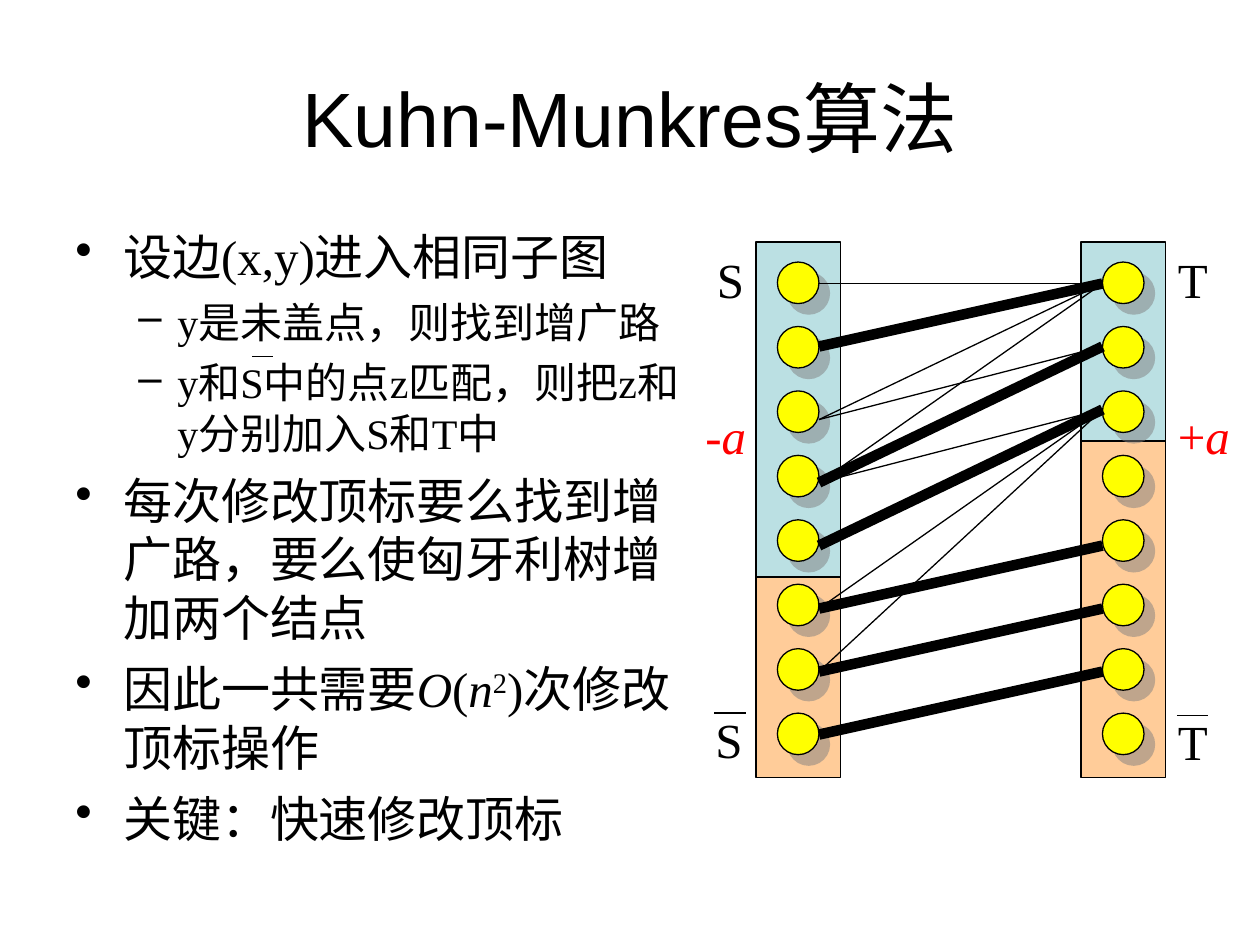
from dataclasses import dataclass

from lxml import etree
from pptx import Presentation
from pptx.dml.color import RGBColor
from pptx.enum import shapes, text
from pptx.oxml import ns
from pptx.util import Inches, Pt


@dataclass(frozen=True)
class Theme:
    ink: RGBColor = RGBColor(0, 0, 0)
    change: RGBColor = RGBColor(0xFF, 0, 0)
    inside: RGBColor = RGBColor(0xBB, 0xE0, 0xE3)
    outside: RGBColor = RGBColor(0xFF, 0xCC, 0x99)
    node: RGBColor = RGBColor(0xFF, 0xFF, 0)
    title_font: str = "Arial"
    body_font: str = "Times New Roman"
    title: Pt = Pt(44)
    body: Pt = Pt(28)
    detail: Pt = Pt(24)
    thin: Pt = Pt(0.75)
    thick: Pt = Pt(6)


THEME = Theme()

# Each bullet is a level and its spans; a span is a text and a style.
BULLETS = [
    (0, [("设边(x,y)进入相同子图", "")]),
    (1, [("y是未盖点，则找到增广路", "")]),
    (1, [("y和S中的点z匹配，则把z和y分别加入S和T中", "")]),
    (0, [("每次修改顶标要么找到增广路，要么使匈牙利树增加两个结点", "")]),
    (0, [("因此一共需要", ""), ("O", "italic"), ("(", ""), ("n", "italic"),
         ("2", "super"), (")次修改顶标操作", "")]),
    (0, [("关键：快速修改顶标", "")]),
]
# Bullet sign, left margin, hanging indent, type size and space before, by level.
LEVELS = [("•", 0.38, 0.38, THEME.body, 7), ("–", 0.81, 0.31, THEME.detail, 6)]

NODE_COUNT, NODE_SIZE = 8, 0.33
NODE_TOP, NODE_PITCH = 2.08, 3.58 / 7
LEFT_END, RIGHT_END = 6.5, 8.75
LEFT_ENDS = [2.25, 2.75, 3.33, 3.83, 4.33, 4.83, 5.33, 5.83]
RIGHT_ENDS = [2.25, 2.75, 3.25, 3.83, 4.33, 4.83, 5.33]
# Left and right node numbers of every edge.
EDGES = [(0, 0), (1, 0), (2, 0), (3, 0), (2, 1), (3, 1), (3, 2), (4, 2),
         (5, 2), (6, 2), (5, 4), (6, 5), (7, 6)]
MATCHING = {(1, 0), (3, 1), (4, 2), (5, 4), (6, 5), (7, 6)}


def set_font(para, name, size, color):
    para.font.name = name
    para.font.size = size
    para.font.color.rgb = color


def add_spans(para, spans):
    for words, style in spans:
        span = para.add_run()
        span.text = words
        if style == "italic":
            span.font.italic = True
        elif style == "super":
            span._r.get_or_add_rPr().set("baseline", "30000")


def add_title(page, words):
    title = page.shapes.title
    title.left, title.top = Inches(0.5), Inches(0.3)
    title.width, title.height = Inches(9), Inches(1.25)
    title.text_frame.text = words
    title.text_frame.auto_size = text.MSO_AUTO_SIZE.NONE
    title.text_frame.vertical_anchor = text.MSO_ANCHOR.MIDDLE
    para = title.text_frame.paragraphs[0]
    para.alignment = text.PP_ALIGN.CENTER
    set_font(para, THEME.title_font, THEME.title, THEME.ink)


def set_bullet(para, sign, margin, indent):
    props = para._p.get_or_add_pPr()
    props.set("marL", str(Inches(margin)))
    props.set("indent", str(-Inches(indent)))
    color = etree.SubElement(props, ns.qn("a:buClr"))
    etree.SubElement(color, ns.qn("a:srgbClr"), val=str(THEME.ink))
    etree.SubElement(props, ns.qn("a:buChar"), char=sign)


def add_bullets(page):
    box = page.shapes.add_textbox(Inches(0.5), Inches(1.75), Inches(5), Inches(5.25))
    frame = box.text_frame
    frame.word_wrap = True
    for number, (level, spans) in enumerate(BULLETS):
        para = frame.add_paragraph() if number else frame.paragraphs[0]
        sign, margin, indent, size, gap = LEVELS[level]
        para.level = level
        set_bullet(para, sign, margin, indent)
        para.space_before = Pt(gap if number else 0)
        set_font(para, THEME.body_font, size, THEME.ink)
        add_spans(para, spans)


def add_figure(parent, kind, left, top, width, height, fill):
    figure = parent.shapes.add_shape(
        kind, Inches(left), Inches(top), Inches(width), Inches(height))
    figure.shadow.inherit = False
    figure.fill.solid()
    figure.fill.fore_color.rgb = fill
    figure.line.color.rgb = THEME.ink
    figure.line.width = THEME.thin
    return figure


def add_block(page, left, top, bottom, fill):
    add_figure(page, shapes.MSO_SHAPE.RECTANGLE, left, top, 0.67, bottom - top, fill)


def cast_shadow(figure):
    """Give a half transparent grey shadow to the lower right."""
    effects = figure._element.spPr.find(ns.qn("a:effectLst"))
    shadow = etree.SubElement(effects, ns.qn("a:outerShdw"), dist=str(Pt(8.5)),
                              dir="2700000", algn="ctr", rotWithShape="0")
    color = etree.SubElement(shadow, ns.qn("a:srgbClr"), val="808080")
    etree.SubElement(color, ns.qn("a:alpha"), val="50000")


def add_nodes(page, left):
    group = page.shapes.add_group_shape()
    for number in range(NODE_COUNT):
        node = add_figure(group, shapes.MSO_SHAPE.OVAL, left,
                          NODE_TOP + number * NODE_PITCH,
                          NODE_SIZE, NODE_SIZE, THEME.node)
        cast_shadow(node)


def add_line(parent, x1, y1, x2, y2, width=THEME.thin):
    line = parent.shapes.add_connector(
        shapes.MSO_CONNECTOR.STRAIGHT, Inches(x1), Inches(y1), Inches(x2), Inches(y2))
    line.line.color.rgb = THEME.ink
    line.line.width = width
    etree.SubElement(line._element.spPr, ns.qn("a:effectLst"))


def add_label(parent, left, top, width, spans, color=THEME.ink, wrap=False):
    box = parent.shapes.add_textbox(
        Inches(left), Inches(top), Inches(width), Inches(0.57))
    box.text_frame.word_wrap = wrap
    box.text_frame.auto_size = text.MSO_AUTO_SIZE.SHAPE_TO_FIT_TEXT
    para = box.text_frame.paragraphs[0]
    set_font(para, THEME.body_font, THEME.body, color)
    add_spans(para, spans)


def add_barred_label(page, left, top, width, letter):
    """Add the name of a complement set, with a bar over it."""
    group = page.shapes.add_group_shape()
    add_label(group, left, top, width, [(letter, "")])
    add_line(group, left + 0.09, top + 0.08, left + 0.34, top + 0.08)


def main():
    deck = Presentation()
    deck.slide_width, deck.slide_height = Inches(10), Inches(7.5)
    page = deck.slides.add_slide(deck.slide_layouts.get_by_name("Title Only"))
    add_title(page, "Kuhn-Munkres算法")
    add_bullets(page)
    for left, split in [(6, 4.58), (8.58, 3.5)]:
        add_block(page, left, split, 6.17, THEME.outside)
        add_block(page, left, 1.92, split, THEME.inside)
        add_nodes(page, left + 0.17)
    add_label(page, 5.59, 1.93, 0.41, [("S", "")])
    add_label(page, 9.25, 1.93, 0.44, [("T", "")])
    add_barred_label(page, 5.58, 5.58, 0.41, "S")
    add_barred_label(page, 9.25, 5.6, 0.44, "T")
    for edge in EDGES:
        left, right = edge
        add_line(page, LEFT_END, LEFT_ENDS[left], RIGHT_END, RIGHT_ENDS[right],
                 THEME.thick if edge in MATCHING else THEME.thin)
    for left, width, sign in [(5.5, 0.58, "-"), (9.25, 0.75, "+")]:
        add_label(page, left, 3.17, width, [(sign, ""), ("a", "italic")],
                  THEME.change, wrap=True)
    add_line(page, 2, 2.83, 2.17, 2.83)
    deck.save("out.pptx")


if __name__ == "__main__":
    main()
